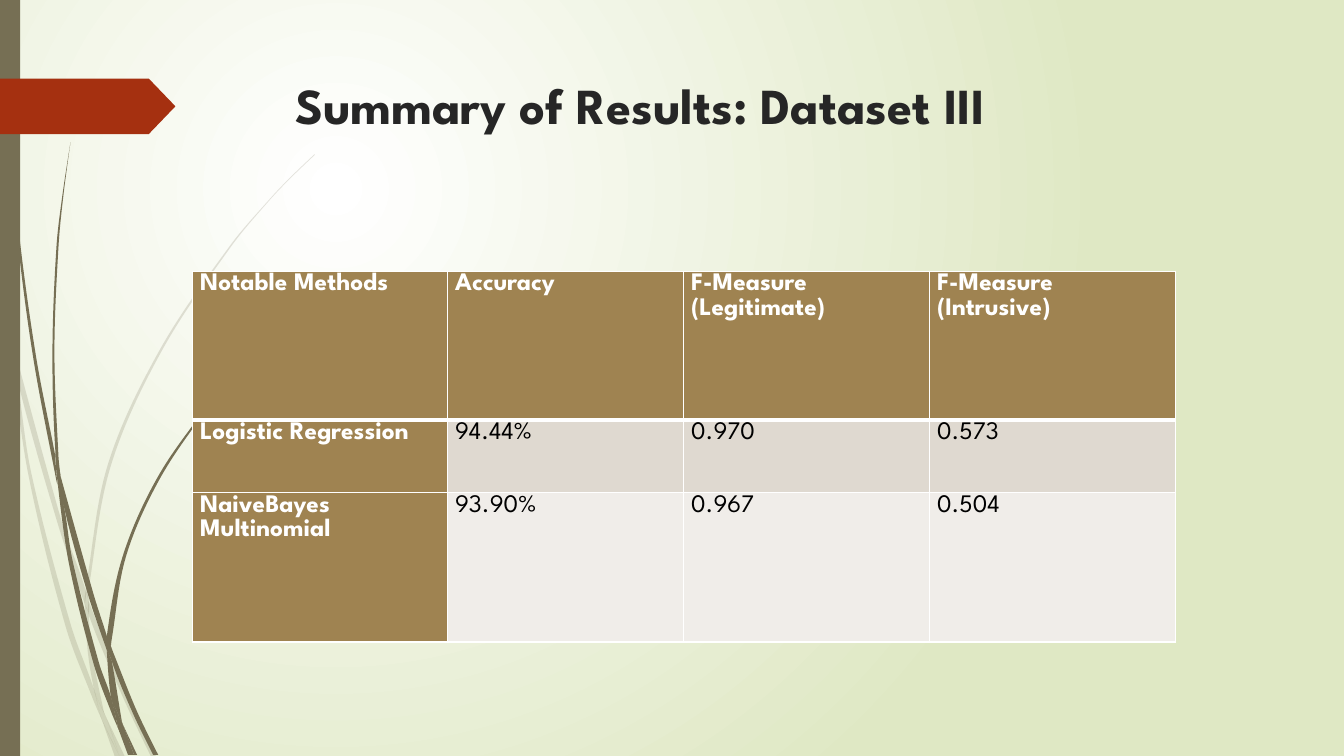
"""Build the Dataset III results slide with its table and wispy stalks."""
from math import hypot
from lxml import etree
from pptx import Presentation
from pptx.dml.color import RGBColor
from pptx.enum.shapes import MSO_SHAPE
from pptx.oxml import parse_xml
from pptx.oxml.ns import qn
from pptx.util import Inches, Pt

TITLE = "Summary of Results: Dataset III"
RESULTS = [
    ("Notable Methods", "Accuracy", "F-Measure (Legitimate)", "F-Measure (Intrusive)"),
    ("Logistic Regression", "94.44%", "0.970", "0.573"),
    ("NaiveBayes Multinomial", "93.90%", "0.967", "0.504"),
]
COLUMN_WIDTHS = (2.53, 2.34, 2.44, 2.44)
ROW_HEIGHTS = (1.48, 0.72, 1.48)

FONT = "League Spartan"
OLIVE = RGBColor(0x76, 0x6F, 0x54)
RUST = RGBColor(0xA5, 0x30, 0x10)
CHARCOAL = RGBColor(0x26, 0x26, 0x26)
BRONZE = RGBColor(0x9F, 0x83, 0x51)
WHITE = RGBColor(0xFF, 0xFF, 0xFF)
BLACK = RGBColor(0, 0, 0)
BANDS = (BRONZE, RGBColor(0xDF, 0xD9, 0xD0), RGBColor(0xF0, 0xED, 0xE9))
NAMESPACE = "http://schemas.openxmlformats.org/drawingml/2006/main"
BACKDROP = f"""<a:gradFill xmlns:a="{NAMESPACE}" rotWithShape="1"><a:gsLst>
<a:gs pos="0"><a:srgbClr val="FFFFFF"/></a:gs>
<a:gs pos="100000"><a:srgbClr val="DFE8C4"/></a:gs></a:gsLst>
<a:path path="circle"><a:fillToRect l="50000" t="50000" r="100000" b="100000"/></a:path>
</a:gradFill>"""

PALE_BLADES = [
    [(0.11, 3.5), (0.09, 3.22), (0, 2.82), (0, 2.99), (0.1, 3.44)],
    [(0.58, 5.22), (0.84, 5.99), (0.85, 5.86), (0.62, 5.2), (0.14, 3.45), (0.17, 3.76)],
    [(0.92, 6.07), (0.88, 5.96), (0.88, 6.1), (1.23, 6.94), (1.5, 7.51), (1.55, 7.51),
     (1.27, 6.92)],
    [(1.19, 7.51), (1.24, 7.51), (1.05, 7.11)],
    [(0.93, 6.83), (0.7, 6.19), (0.31, 4.69), (0.17, 3.76), (0.11, 3.5), (0.28, 4.7),
     (0.65, 6.21), (0.92, 6.93), (1.01, 7.14), (0.99, 7.07)],
    [(0.84, 5.99), (0.87, 6.46), (0.93, 6.83), (0.96, 6.92), (1.05, 7.11), (1.03, 7.06),
     (0.91, 6.46), (0.88, 6.1), (0.88, 6.08)],
    [(0.88, 5.84), (1.1, 4.62), (1.6, 3.49), (2.29, 2.45), (2.68, 1.98), (2.9, 1.75),
     (3.12, 1.54), (3.12, 1.53), (2.89, 1.75), (2.68, 1.97), (2.28, 2.44), (1.58, 3.48),
     (1.07, 4.61), (0.85, 5.84), (0.85, 5.86), (0.88, 5.96)],
    [(1.01, 7.14), (1.14, 7.51), (1.19, 7.51)],
    [(0.88, 6.08), (0.88, 6.1), (0.88, 5.96), (0.85, 5.86), (0.84, 5.99)],
    [(0.96, 6.92), (0.93, 6.83), (0.99, 7.07), (1.01, 7.14), (1.19, 7.51), (1.05, 7.11)],
]
DARK_BLADES = [
    [(0.07, 1.1), (0.17, 2.33), (0.33, 3.55), (0.56, 4.77), (0.57, 4.81), (0.55, 4.57),
     (0.55, 4.53), (0.36, 3.55), (0.19, 2.32), (0.08, 1.09), (0.05, 0.48), (0.04, 0),
     (0.03, 0), (0.04, 0.48)],
    [(0.88, 5.92), (1.06, 6.45), (1.06, 6.33), (1.06, 6.31), (0.93, 5.9), (0.6, 4.72),
     (0.64, 5.05)],
    [(1.13, 6.49), (1.1, 6.41), (1.11, 6.56), (1.32, 7.08), (1.52, 7.49), (1.57, 7.49),
     (1.36, 7.06)],
    [(1.1, 6.91), (0.98, 6.57), (0.72, 5.56), (0.64, 5.05), (0.57, 4.77), (0.68, 5.57),
     (0.93, 6.59), (1.11, 7.08), (1.17, 7.22), (1.16, 7.17)],
    [(0.6, 4.72), (0.58, 4.53), (0.54, 3.49), (0.58, 2.45), (0.63, 1.93), (0.7, 1.41),
     (0.62, 1.93), (0.56, 2.45), (0.52, 3.49), (0.55, 4.49)],
    [(1.33, 7.49), (1.36, 7.49), (1.22, 7.19)],
    [(0.57, 4.77), (0.64, 5.05), (0.6, 4.72), (0.55, 4.49), (0.55, 4.53)],
    [(1.11, 6.33), (1.25, 5.52), (1.58, 4.76), (2.05, 4.06), (2.31, 3.74), (2.45, 3.59),
     (2.61, 3.44), (2.6, 3.44), (2.45, 3.58), (2.31, 3.73), (2.04, 4.05), (1.56, 4.74),
     (1.22, 5.51), (1.06, 6.31), (1.1, 6.41)],
    [(1.17, 7.22), (1.27, 7.49), (1.31, 7.49)],
    [(1.06, 6.45), (1.1, 6.91), (1.16, 7.06), (1.22, 7.19), (1.21, 7.16), (1.11, 6.56),
     (1.09, 6.51)],
    [(1.06, 6.45), (1.09, 6.51), (1.11, 6.56), (1.1, 6.41), (1.06, 6.31), (1.06, 6.33)],
    [(1.16, 7.06), (1.1, 6.91), (1.16, 7.17), (1.17, 7.22), (1.3, 7.49), (1.33, 7.49),
     (1.22, 7.19)],
]


def find_tangent(before, point, after):
    """Return the unit direction through a smooth point, or zero at a corner."""
    ahead = (after[0] - point[0], after[1] - point[1])
    behind = (point[0] - before[0], point[1] - before[1])
    cosine = (ahead[0] * behind[0] + ahead[1] * behind[1]) / (hypot(*ahead) * hypot(*behind))
    if cosine < 0.8:
        return 0, 0
    across = (after[0] - before[0], after[1] - before[1])
    return across[0] / hypot(*across), across[1] / hypot(*across)


def paint(shape, color, opacity=100):
    """Give a shape a plain fill with no line or shadow."""
    shape.shadow.inherit = False
    shape.fill.solid()
    shape.fill.fore_color.rgb = color
    shape.line.fill.background()
    if opacity < 100:
        tint = shape.fill._xPr.find(".//" + qn("a:srgbClr"))
        etree.SubElement(tint, qn("a:alpha"), val=str(opacity * 1000))


def draw_blade(page, outline, opacity):
    """Draw one closed blade, with its smooth edges curved."""
    builder = page.shapes.build_freeform(*map(Inches, outline[0]))
    corners = outline[1:] + outline[:1]
    builder.add_line_segments([tuple(map(Inches, point)) for point in corners], close=True)
    shape = builder.convert_to_shape()
    paint(shape, OLIVE, opacity)
    tangents = [find_tangent(outline[i - 1], point, corners[i])
                for i, point in enumerate(outline)]
    left, top = min(x for x, _ in outline), min(y for _, y in outline)
    edges = shape._element.findall(".//" + qn("a:lnTo"))
    for edge, start, end, leave, arrive in zip(
            edges, outline, corners, tangents, tangents[1:] + tangents[:1]):
        reach = hypot(end[0] - start[0], end[1] - start[1]) / 3
        curve = etree.Element(qn("a:cubicBezTo"))
        for (x, y), (dx, dy), sign in (
                (start, leave, 1), (end, arrive, -1), (end, arrive, 0)):
            etree.SubElement(curve, qn("a:pt"),
                             x=str(Inches(x - left + sign * reach * dx)),
                             y=str(Inches(y - top + sign * reach * dy)))
        edge.getparent().replace(edge, curve)


def write(frame, text, size=18, color=BLACK, bold=False, spacing=None):
    """Write one formatted paragraph into a text frame."""
    frame.word_wrap = True
    para = frame.paragraphs[0]
    para.line_spacing = spacing
    span = para.add_run()
    span.text = text
    span.font.name = FONT
    span.font.size = Pt(size)
    span.font.bold = bold
    span.font.color.rgb = color


def add_borders(cell, bottom):
    """Put white borders around a cell, the lower one of a given width."""
    properties = cell._tc.get_or_add_tcPr()
    for index, (side, width) in enumerate(
            (("lnL", 1), ("lnR", 1), ("lnT", 1), ("lnB", bottom))):
        properties.insert(index, parse_xml(
            f'<a:{side} xmlns:a="{NAMESPACE}" w="{Pt(width)}">'
            f'<a:solidFill><a:srgbClr val="{WHITE}"/></a:solidFill></a:{side}>'))


def add_results(page):
    """Add the results table."""
    table = page.shapes.add_table(
        len(RESULTS), len(COLUMN_WIDTHS), Inches(1.91), Inches(2.69),
        Inches(sum(COLUMN_WIDTHS)), Inches(sum(ROW_HEIGHTS))).table
    for column, width in zip(table.columns, COLUMN_WIDTHS):
        column.width = Inches(width)
    for r, (values, height) in enumerate(zip(RESULTS, ROW_HEIGHTS)):
        table.rows[r].height = Inches(height)
        for c, value in enumerate(values):
            cell = table.cell(r, c)
            heading = r == 0 or c == 0
            cell.margin_left = cell.margin_right = Pt(5.4)
            cell.margin_top = cell.margin_bottom = 0
            cell.fill.solid()
            cell.fill.fore_color.rgb = BRONZE if heading else BANDS[r]
            write(cell.text_frame, value, color=WHITE if heading else BLACK,
                  bold=heading, spacing=1.07)
            add_borders(cell, bottom=3 if r == 0 else 1)


deck = Presentation()
deck.slide_width, deck.slide_height = Inches(13.33), Inches(7.5)
page = deck.slides.add_slide(deck.slide_layouts[6])
backdrop = page.background.fill
backdrop.solid()
backdrop._xPr.replace(backdrop._xPr.find(qn("a:solidFill")), parse_xml(BACKDROP))
for blades, opacity in ((PALE_BLADES, 20), (DARK_BLADES, 100)):
    for outline in blades:
        draw_blade(page, outline, opacity)
side_bar = page.shapes.add_shape(MSO_SHAPE.RECTANGLE, 0, 0, Inches(0.2), Inches(7.5))
paint(side_bar, OLIVE)
tag = page.shapes.add_shape(MSO_SHAPE.PENTAGON, 0, Inches(0.78), Inches(1.74), Inches(0.55))
tag.adjustments[0] = 0.48
paint(tag, RUST)
title_box = page.shapes.add_textbox(Inches(2.83), Inches(0.69), Inches(9.75), Inches(1.4))
write(title_box.text_frame, TITLE, size=36, color=CHARCOAL, bold=True)
add_results(page)
deck.save("out.pptx")
